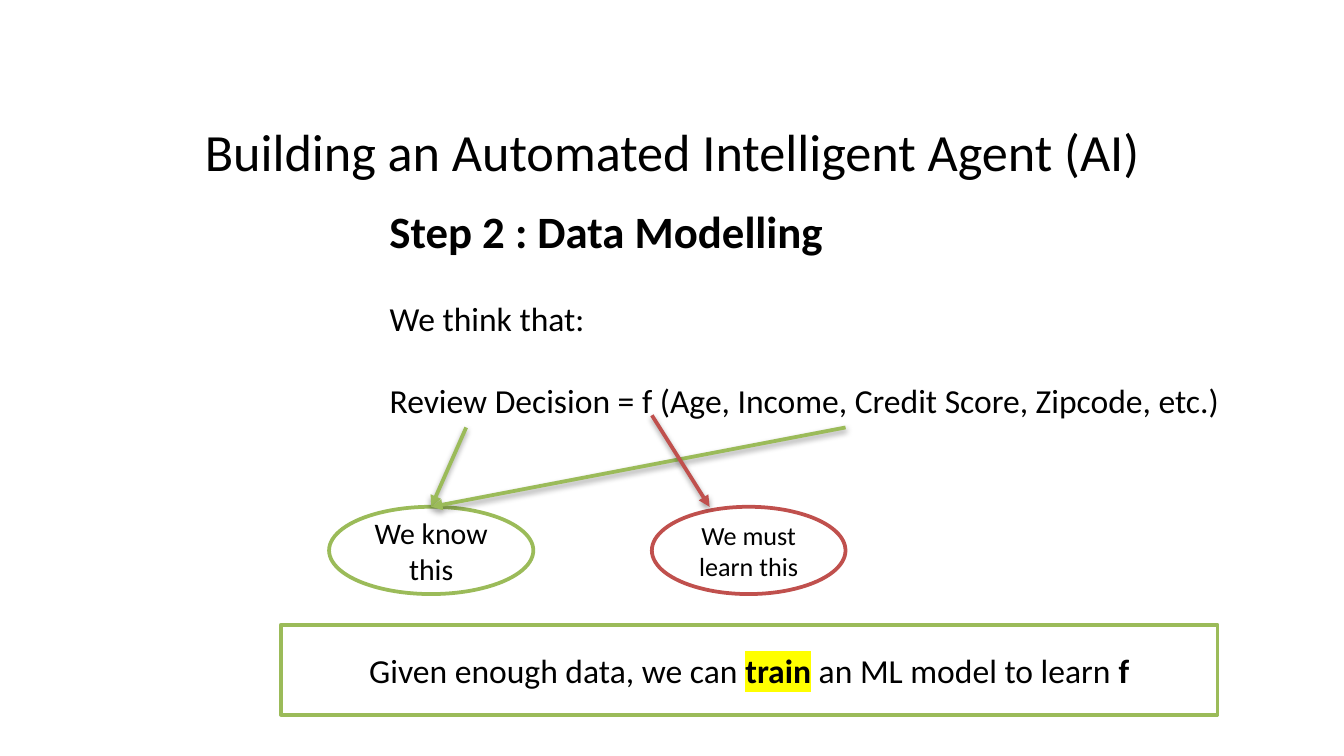
from dataclasses import dataclass

from lxml.etree import SubElement
from pptx import Presentation
from pptx.dml.color import RGBColor
from pptx.enum.shapes import MSO_CONNECTOR, MSO_SHAPE
from pptx.enum.text import MSO_ANCHOR, PP_ALIGN
from pptx.oxml import parse_xml
from pptx.oxml.ns import nsdecls, qn
from pptx.util import Cm, Pt


@dataclass(frozen=True)
class Theme:
    font: str = "Calibri"
    ink: str = "000000"
    paper: str = "FFFFFF"
    known: str = "9BBB59"
    learned: str = "C0504D"
    marker: str = "FFFF00"
    title: int = 28
    heading: int = 24
    body: int = 18
    label: int = 16
    small: int = 14
    stroke: int = 2


THEME = Theme()
TEXT_LEFT = 7.11
OVAL_TOP = 9.58
OVAL_HEIGHT = 1.65


def set_format(target, values):
    for name, value in values.items():
        setattr(target, name, value)


def place(shape, left, top, width, height):
    values = {"left": left, "top": top, "width": width, "height": height}
    set_format(shape, {name: Cm(value) for name, value in values.items()})


def add_span(para, text, size, bold=False, highlight=None):
    span = para.add_run()
    span.text = text
    set_format(span.font, {"name": THEME.font, "size": Pt(size), "bold": bold})
    span.font.color.rgb = RGBColor.from_string(THEME.ink)
    if highlight:
        fill = span.font._element.find(qn("a:solidFill"))
        fill.addnext(parse_xml(
            f'<a:highlight {nsdecls("a")}><a:srgbClr val="{highlight}"/></a:highlight>'
        ))


def fill_title(page, text):
    title = page.shapes.title
    place(title, 1.27, 1.96, 22.86, 1.78)
    title.text_frame.vertical_anchor = MSO_ANCHOR.MIDDLE
    para = title.text_frame.paragraphs[0]
    para.alignment = PP_ALIGN.CENTER
    add_span(para, text, THEME.title)


def fill_body(page, lines):
    body = page.placeholders[1]
    place(body, TEXT_LEFT, 5.51, 16.26, 2.57)
    frame = body.text_frame
    frame.word_wrap = False
    for index, line in enumerate(lines):
        para = frame.add_paragraph() if index else frame.paragraphs[0]
        properties = para._p.get_or_add_pPr()
        properties.set("marL", "0")
        properties.set("indent", "0")
        SubElement(properties, qn("a:buNone"))
        para.space_before = Pt(22 if index else 0)
        add_span(para, line, THEME.body)


def add_heading(page, text):
    box = page.shapes.add_textbox(Cm(TEXT_LEFT), Cm(3.73), Cm(14.45), Cm(2.06))
    box.text_frame.word_wrap = True
    add_span(box.text_frame.paragraphs[0], text, THEME.heading, bold=True)


def add_outlined(page, kind, bounds, color, spans):
    shape = page.shapes.add_shape(kind, *map(Cm, bounds))
    shape.shadow.inherit = False
    shape.fill.solid()
    shape.fill.fore_color.rgb = RGBColor.from_string(THEME.paper)
    shape.line.color.rgb = RGBColor.from_string(color)
    shape.line.width = Pt(THEME.stroke)
    set_format(shape.text_frame, {"word_wrap": True, "vertical_anchor": MSO_ANCHOR.MIDDLE})
    para = shape.text_frame.paragraphs[0]
    para.alignment = PP_ALIGN.CENTER
    for span in spans:
        add_span(para, **span)
    return shape


def add_oval(page, left, width, color, text, size):
    bounds = (left, OVAL_TOP, width, OVAL_HEIGHT)
    return add_outlined(page, MSO_SHAPE.OVAL, bounds, color, [{"text": text, "size": size}])


def add_arrow(page, start, end, color):
    arrow = page.shapes.add_connector(MSO_CONNECTOR.STRAIGHT, *map(Cm, start + end))
    arrow.line.color.rgb = RGBColor.from_string(color)
    arrow.line.width = Pt(THEME.stroke)
    SubElement(arrow.line._get_or_add_ln(), qn("a:tailEnd"), type="triangle")
    arrow._element.spPr.append(parse_xml(
        f'<a:effectLst {nsdecls("a")}>'
        f'<a:outerShdw blurRad="{Pt(3.1)}" dist="{Pt(1.6)}" dir="5400000" rotWithShape="0">'
        f'<a:srgbClr val="{THEME.ink}"><a:alpha val="38000"/></a:srgbClr>'
        "</a:outerShdw></a:effectLst>"
    ))
    return arrow


def main():
    deck = Presentation()
    set_format(deck, {"slide_width": Cm(25.4), "slide_height": Cm(14.29)})
    page = deck.slides.add_slide(deck.slide_layouts[1])

    fill_title(page, "Building an Automated Intelligent Agent (AI)")
    add_heading(page, "Step 2 : Data Modelling")
    fill_body(page, [
        "We think that:",
        "Review Decision = f (Age, Income, Credit Score, Zipcode, etc.)",
    ])

    known = add_oval(page, 6.22, 3.86, THEME.known, "We know this", THEME.label)
    add_oval(page, 12.32, 3.66, THEME.learned, "We must learn this", THEME.small)
    for start_left in (8.81, 15.98):
        arrow = add_arrow(page, (start_left, 8.08), (8.15, OVAL_TOP), THEME.known)
        arrow.end_connect(known, 0)
    add_arrow(page, (12.32, 7.85), (13.41, OVAL_TOP), THEME.learned)

    add_outlined(page, MSO_SHAPE.RECTANGLE, (5.31, 11.81, 17.7, 1.7), THEME.known, [
        {"text": "Given enough data, we can ", "size": THEME.body},
        {"text": "train", "size": THEME.body, "bold": True, "highlight": THEME.marker},
        {"text": " an ML model to learn ", "size": THEME.body},
        {"text": "f", "size": THEME.body, "bold": True},
    ])
    deck.save("out.pptx")


if __name__ == "__main__":
    main()
